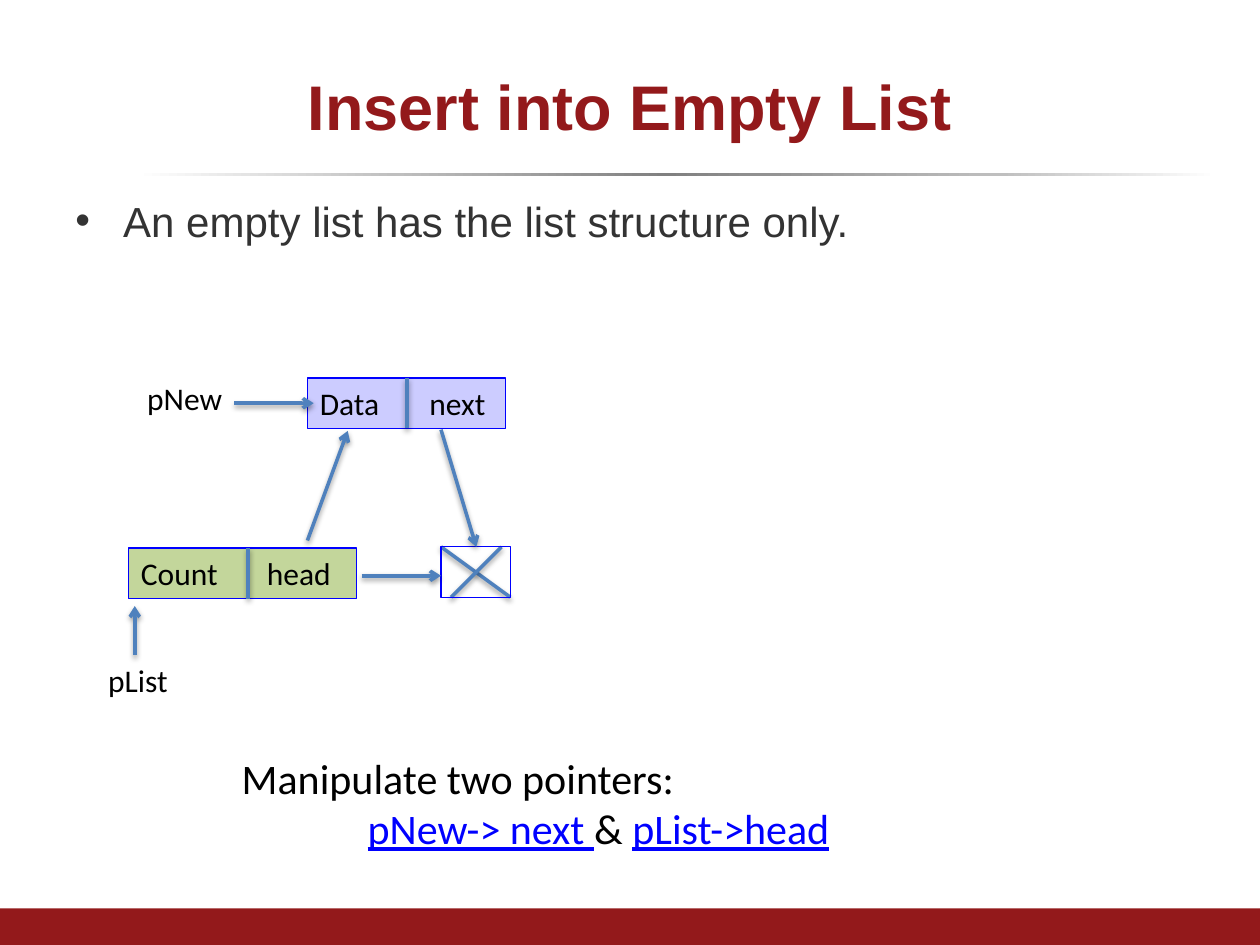
from lxml.etree import SubElement
from pptx import Presentation
from pptx.dml.color import RGBColor
from pptx.enum.shapes import MSO_CONNECTOR, MSO_SHAPE
from pptx.enum.text import MSO_ANCHOR, PP_ALIGN
from pptx.oxml.ns import qn
from pptx.util import Inches, Pt

DARK_RED = RGBColor(0x93, 0x19, 0x1B)
DARK_GREY = RGBColor(0x33, 0x33, 0x33)
BLACK = RGBColor(0, 0, 0)
BLUE = RGBColor(0, 0, 0xFF)
STEEL = RGBColor(0x4F, 0x81, 0xBD)
LILAC = RGBColor(0xCC, 0xCC, 0xFF)
GREEN = RGBColor(0xC3, 0xD6, 0x9B)
RULE_STOPS = [(0, "FFFFFF"), (24, "BFBFBF"), (49, "808080"), (80, "BFBFBF"), (100, "FFFFFF")]


def inches(*lengths):
    return [Inches(length) for length in lengths]


def style(font, size, color, name="Calibri"):
    font.name, font.size = name, Pt(size)
    font.color.rgb = color


def add_tab_stop(paragraph, position):
    tabs = SubElement(paragraph._p.get_or_add_pPr(), qn("a:tabLst"))
    SubElement(tabs, qn("a:tab"), pos=str(Inches(position)), algn="l")


def add_box(slide, box, fill=None, line=None):
    shape = slide.shapes.add_shape(MSO_SHAPE.RECTANGLE, *inches(*box))
    shape.shadow.inherit = False
    if fill is None:
        shape.fill.background()
    else:
        shape.fill.solid()
        shape.fill.fore_color.rgb = fill
    if line is None:
        shape.line.fill.background()
    else:
        shape.line.color.rgb = line
        shape.line.width = Pt(0.75)
    return shape


def add_line(slide, start, end, arrow=False):
    connector = slide.shapes.add_connector(MSO_CONNECTOR.STRAIGHT, *inches(*start, *end))
    connector.line.color.rgb = STEEL
    connector.line.width = Pt(2)
    if arrow:
        SubElement(connector.line._get_or_add_ln(), qn("a:tailEnd"), type="arrow")
    # Soft shadow straight below the line
    effects = SubElement(connector._element.spPr, qn("a:effectLst"))
    shadow = SubElement(effects, qn("a:outerShdw"), blurRad=str(Pt(3.1)), dist=str(Pt(1.6)),
                        dir="5400000", rotWithShape="0")
    color = SubElement(shadow, qn("a:srgbClr"), val="000000")
    SubElement(color, qn("a:alpha"), val="38000")


def add_text(slide, box, text, size=18):
    frame = slide.shapes.add_textbox(*inches(*box)).text_frame
    frame.word_wrap = True
    frame.text = text
    for paragraph in frame.paragraphs:
        style(paragraph.font, size, BLACK)
    return frame


def add_title(slide, box, text):
    title = slide.shapes.title
    title.left, title.top, title.width, title.height = inches(*box)
    frame = title.text_frame
    frame.text = text
    frame.vertical_anchor = MSO_ANCHOR.MIDDLE
    paragraph = frame.paragraphs[0]
    paragraph.alignment = PP_ALIGN.CENTER
    style(paragraph.runs[0].font, 36, DARK_RED, "Arial")
    paragraph.runs[0].font.bold = True


def add_decoration(slide):
    # Fading rule under the title
    rule = add_box(slide, (1.08, 1.37, 8.58, 0.03))
    rule.fill.gradient()
    rule.fill.gradient_angle = 0
    stops = rule._element.spPr.find(".//" + qn("a:gsLst"))
    stops.clear()
    for position, color in RULE_STOPS:
        stop = SubElement(stops, qn("a:gs"), pos=str(position * 1000))
        SubElement(stop, qn("a:srgbClr"), val=color)
    # Footer band
    add_box(slide, (0, 7.21, 10, 0.29), DARK_RED)


def add_bullet(slide, box, text):
    paragraph = add_text(slide, box, text, 24).paragraphs[0]
    properties = paragraph._p.get_or_add_pPr()
    properties.set("marL", str(Inches(0.38)))
    properties.set("indent", str(-Inches(0.38)))
    bullet_font = SubElement(properties, qn("a:buFont"), typeface="Arial")
    bullet = SubElement(properties, qn("a:buChar"), char="•")
    properties.insert(0, bullet)
    properties.insert(0, bullet_font)
    style(paragraph.runs[0].font, 24, DARK_GREY, "Arial")


def add_node(slide, box, fields, fill, divider, tab):
    left, top, width, height = box
    frame = add_box(slide, box, fill, BLUE).text_frame
    frame.vertical_anchor = MSO_ANCHOR.MIDDLE
    paragraph = frame.paragraphs[0]
    paragraph.text = "\t".join(fields)
    paragraph.alignment = PP_ALIGN.LEFT
    add_tab_stop(paragraph, tab)
    for run in paragraph.runs:
        style(run.font, 18, BLACK)
    add_line(slide, (left + divider, top), (left + divider, top + height))


def add_null(slide, box):
    left, top, width, height = box
    bottom = top + height
    add_line(slide, (left, top), (left + width, bottom))
    add_line(slide, (left + 0.48, top), (left + 0.08, bottom))
    add_box(slide, box, line=BLUE)


def add_diagram(slide):
    add_node(slide, (2.44, 3, 1.57, 0.4), ("Data", "next"), LILAC, 0.79, 0.87)
    add_node(slide, (1.02, 4.35, 1.81, 0.4), ("Count", "head"), GREEN, 0.95, 1)
    add_null(slide, (3.5, 4.34, 0.55, 0.4))
    # Pointer names
    add_text(slide, (0.76, 5.2, 1.02, 0.4), "pList")
    add_text(slide, (1.07, 2.96, 1.02, 0.4), "pNew")
    # Pointers
    pointers = [
        ((2.87, 4.57), (3.5, 4.57)),   # head to null
        ((1.07, 5.2), (1.07, 4.81)),   # pList to list
        ((1.86, 3.2), (2.49, 3.2)),    # pNew to node
        ((3.5, 3.41), (3.78, 4.34)),   # next to null
        ((2.44, 4.29), (2.76, 3.42)),  # head to node
    ]
    for start, end in pointers:
        add_line(slide, start, end, arrow=True)


def add_summary(slide, box):
    frame = add_text(slide, box, "Manipulate two pointers:", 24)
    paragraph = frame.add_paragraph()
    add_tab_stop(paragraph, 1)
    for text, is_pointer in [("\t", False), ("pNew-> next ", True), ("& ", False), ("pList->head", True)]:
        run = paragraph.add_run()
        run.text = text
        style(run.font, 24, BLUE if is_pointer else BLACK)
        run.font.underline = is_pointer


def main():
    presentation = Presentation()
    presentation.slide_width, presentation.slide_height = inches(10, 7.5)
    slide = presentation.slides.add_slide(presentation.slide_layouts[5])
    add_decoration(slide)
    add_title(slide, (0.5, 0.3, 9, 1.07), "Insert into Empty List")
    add_bullet(slide, (0.5, 1.5, 9, 5.67), "An empty list has the list structure only.")
    add_diagram(slide)
    add_summary(slide, (1.82, 5.92, 6.22, 0.91))
    presentation.save("out.pptx")


if __name__ == "__main__":
    main()
